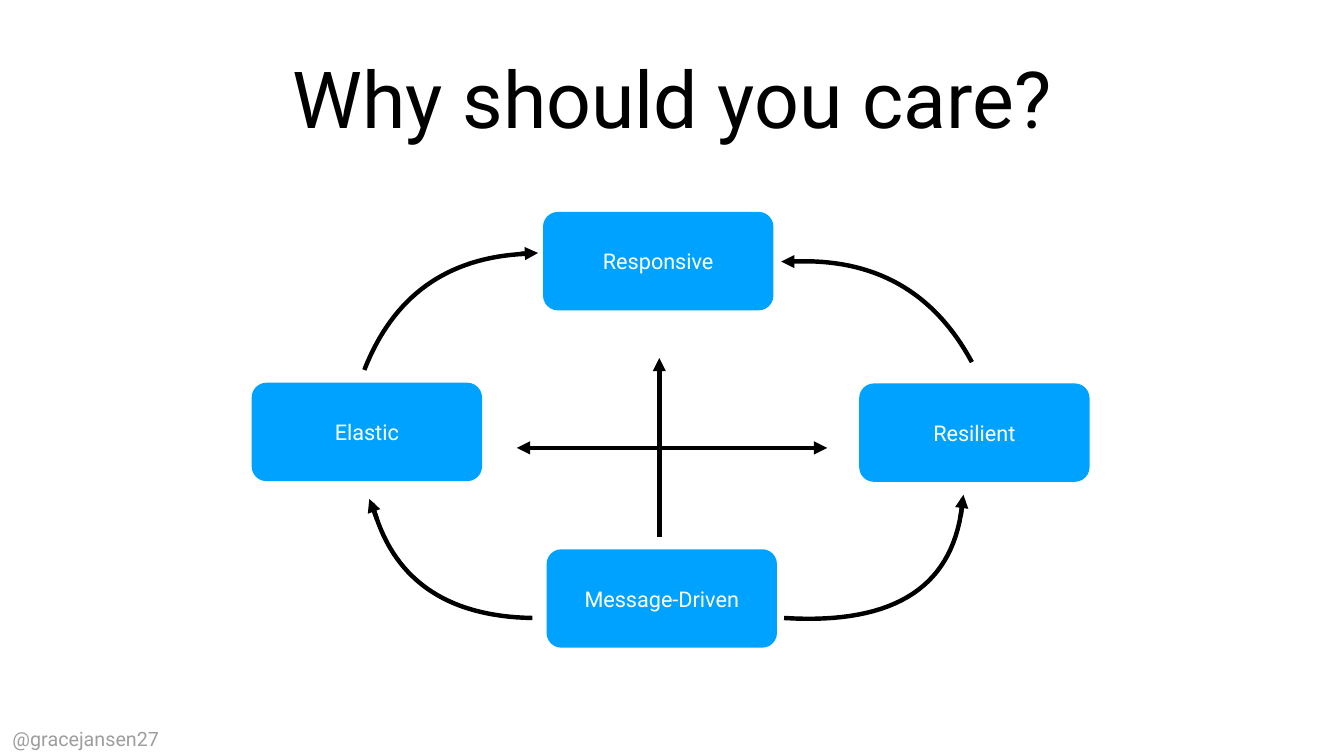
"""Build the slide on the four reactive traits and the arrows between them."""
from lxml import etree
from pptx import Presentation, util as u
from pptx.dml.color import RGBColor
from pptx.enum import shapes as s, text as t
from pptx.oxml.ns import qn

BLACK, BLUE, WHITE, GREY = "000000", "00A2FF", "FFFFFF", "9E9E9E"
BOX_WIDTH, BOX_HEIGHT = 234, 100
CURVE_STEPS = 32


def paint(fmt, colour):
    fmt.solid()
    fmt.fore_color.rgb = RGBColor.from_string(colour)


def write(shape, wording, size, colour):
    frame = shape.text_frame
    inset = u.Pt(4)
    layout = {"word_wrap": True, "vertical_anchor": t.MSO_ANCHOR.MIDDLE,
              "margin_left": inset, "margin_right": inset,
              "margin_top": inset, "margin_bottom": inset}
    for key, value in layout.items():
        setattr(frame, key, value)
    line = frame.paragraphs[0]
    line.alignment = t.PP_ALIGN.CENTER
    run = line.add_run()
    run.text = wording
    for key, value in {"name": "Roboto", "size": u.Pt(size)}.items():
        setattr(run.font, key, value)
    paint(run.font.fill, colour)


deck = Presentation()
deck.slide_width, deck.slide_height = u.Pt(1365), u.Pt(768)
slide = deck.slides.add_slide(deck.slide_layouts[6])
paint(slide.background.fill, WHITE)

captions = [
    ("Why should you care?", 80, BLACK, (100, 13.7, 1165.7, 170)),
    ("@gracejansen27", 20, GREY, (0, 734.4, 174.3, 32.4)),
]
for wording, size, colour, place in captions:
    caption = slide.shapes.add_textbox(*map(u.Pt, place))
    write(caption, wording, size, colour)

traits = [
    ("Resilient", 872.6, 389.5),
    ("Elastic", 255.6, 388.8),
    ("Message-Driven", 555.1, 558),
    ("Responsive", 551.5, 215.3),
]
for wording, left, top in traits:
    trait = slide.shapes.add_shape(s.MSO_SHAPE.ROUNDED_RECTANGLE, u.Pt(left), u.Pt(top),
                                   u.Pt(BOX_WIDTH), u.Pt(BOX_HEIGHT))
    trait.adjustments[0] = 0.15
    trait.shadow.inherit = False
    paint(trait.fill, BLUE)
    trait.line.fill.background()
    write(trait, wording, 22, WHITE)

arcs = [
    [(540.7, 627.8), (452.2, 626.4), (397.4, 587.5), (378, 511.2)],
    [(370, 375.8), (399.6, 300.2), (454.3, 261.4), (534.2, 257.8)],
    [(796.3, 627.8), (910.8, 635), (970.6, 594.7), (977.8, 506.9)],
    [(805, 265.7), (887.8, 262.1), (948.2, 295.9), (987.1, 367.9)],
]
for controls in arcs:
    points = []
    for step in range(CURVE_STEPS + 1):
        k = step / CURVE_STEPS
        weights = ((1 - k) ** 3, 3 * k * (1 - k) ** 2, 3 * k ** 2 * (1 - k), k ** 3)
        points.append(tuple(u.Pt(sum(w * c for w, c in zip(weights, axis)))
                            for axis in zip(*controls)))
    builder = slide.shapes.build_freeform(*points[0])
    builder.add_line_segments(points[1:], close=False)
    arc = builder.convert_to_shape()
    arc.shadow.inherit = False
    arc.fill.background()
    arc.line.width = u.Pt(4.5)
    paint(arc.line.fill, BLACK)

arrows = [
    (669.6, 545.8, 669.6, 363.6),
    (578.9, 455, 840.2, 455),
    (818.6, 455, 524.9, 455),
    (383, 527.8, 375.1, 506.9),
    (528.5, 257.8, 546.5, 257),
    (975.6, 524.9, 978.5, 502.6),
    (805, 265.7, 793.4, 265.7),
]
for ends in arrows:
    arrow = slide.shapes.add_connector(s.MSO_CONNECTOR.STRAIGHT, *map(u.Pt, ends))
    arrow.line.width = u.Pt(4.5)
    paint(arrow.line.fill, BLACK)
    etree.SubElement(arrow.line._get_or_add_ln(), qn("a:tailEnd"), type="triangle")
    etree.SubElement(arrow._element.spPr, qn("a:effectLst"))

deck.save("out.pptx")
